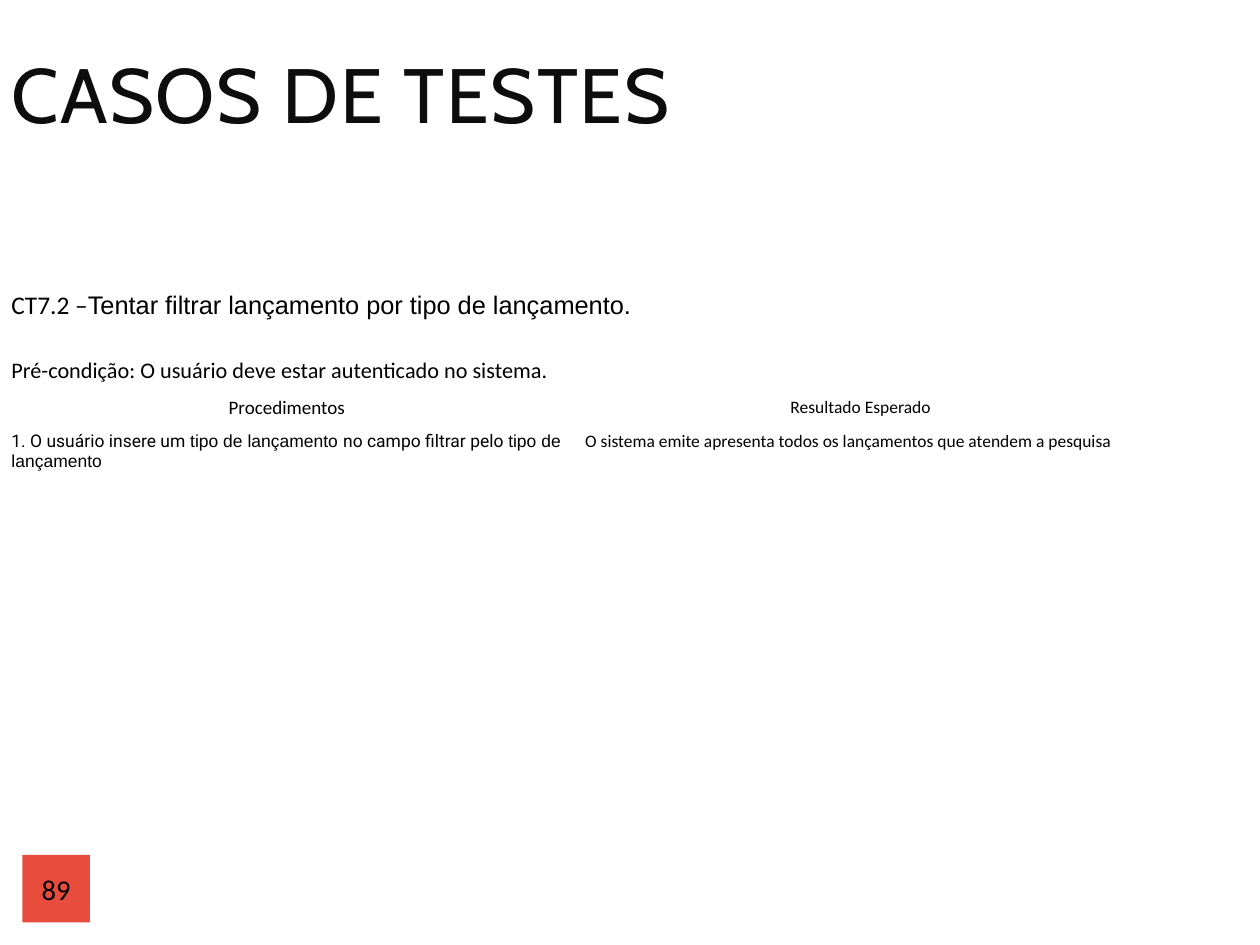
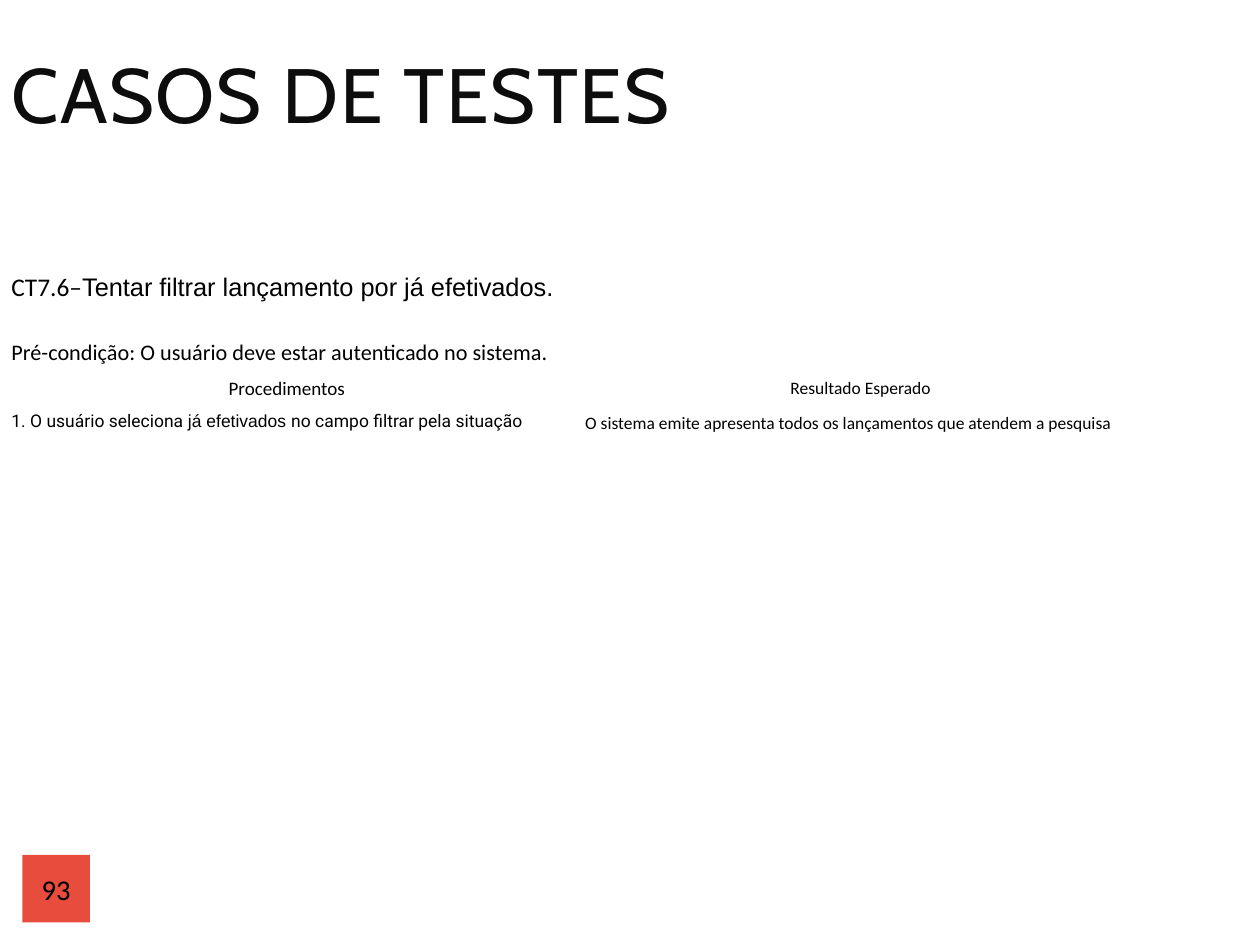
from dataclasses import dataclass

from pptx import Presentation
from pptx import util as u
from pptx.dml.color import RGBColor
from pptx.enum import shapes, text


@dataclass(frozen=True)
class Theme:
    ink: str = "000000"
    title_ink: str = "0D0D0D"
    accent: str = "E74C3C"
    title_font: str = "Cabin"
    body_font: str = "Calibri"
    term_font: str = "Arial"
    step_font: str = "Roboto"
    title_size: float = 48.5
    number_size: float = 18
    case_size: float = 16
    condition_size: float = 14
    header_size: float = 12
    detail_size: float = 11


THEME = Theme()
CENTERED = {"alignment": text.PP_ALIGN.CENTER}


@dataclass(frozen=True)
class Piece:
    wording: str
    size: float
    font: str = THEME.body_font
    color: str = THEME.ink


@dataclass(frozen=True)
class TestCase:
    number: int
    top: float
    code: str
    goal: str
    step: tuple[Piece, ...]
    goal_format: dict
    step_format: dict
    step_height: float


def tight(space_before: float) -> dict:
    return {"line_spacing": 0.94, "space_before": u.Pt(space_before)}


def step(wording: str) -> Piece:
    return Piece(wording, THEME.detail_size, THEME.step_font)


def term(wording: str) -> Piece:
    return Piece(wording, THEME.detail_size, THEME.term_font)


CASES = (
    TestCase(
        89, 6.35, "CT7.2 –", "Tentar filtrar lançamento por tipo de lançamento.",
        (step("1. O usuário insere um "), term("tipo de lançamento "),
         step("no campo filtrar pelo "), term("tipo de lançamento")),
        tight(3.5), {}, 1.37,
    ),
    TestCase(
        93, 5.94, "CT7.6–", "Tentar filtrar lançamento por já efetivados.",
        (step("1. O usuário seleciona "), term("já efetivados "),
         step("no campo filtrar pela situação")),
        tight(4), tight(3.5), 0.89,
    ),
)


def write(frame, pieces: tuple[Piece, ...], layout: dict) -> None:
    paragraph = frame.paragraphs[0]
    for name, value in layout.items():
        setattr(paragraph, name, value)
    for piece in pieces:
        run = paragraph.add_run()
        run.text = piece.wording
        for name, value in {"size": u.Pt(piece.size), "name": piece.font}.items():
            setattr(run.font, name, value)
        run.font.color.rgb = RGBColor.from_string(piece.color)


def add_page_number(slide, number: int) -> None:
    badge = slide.shapes.add_shape(
        shapes.MSO_SHAPE.RECTANGLE, u.Cm(0.5), u.Cm(19), u.Cm(1.5), u.Cm(1.5))
    badge.shadow.inherit = False
    badge.fill.solid()
    badge.fill.fore_color.rgb = RGBColor.from_string(THEME.accent)
    badge.line.fill.background()
    frame = badge.text_frame
    insets = dict.fromkeys(
        ("margin_left", "margin_top", "margin_right", "margin_bottom"), 0)
    for name, value in {**insets, "vertical_anchor": text.MSO_ANCHOR.MIDDLE}.items():
        setattr(frame, name, value)
    write(frame, (Piece(str(number), THEME.number_size),), CENTERED)


def add_title(slide, wording: str) -> None:
    frame = slide.shapes.add_textbox(u.Cm(0), u.Cm(1), u.Cm(26), u.Cm(2.5)).text_frame
    for name, value in {"word_wrap": True,
                        "vertical_anchor": text.MSO_ANCHOR.MIDDLE}.items():
        setattr(frame, name, value)
    title = Piece(wording, THEME.title_size, THEME.title_font, THEME.title_ink)
    write(frame, (title,), {"line_spacing": 0.8})
    frame.paragraphs[0].runs[0].font._element.set("spc", "110")


def add_case_table(slide, case: TestCase) -> None:
    heights = (1.47, 0.86, 0.77, case.step_height)
    table = slide.shapes.add_table(
        len(heights), 2, u.Cm(0), u.Cm(case.top), u.Cm(25.5), u.Cm(sum(heights))).table
    for name in ("first_row", "horz_banding"):
        setattr(table, name, False)
    for row, height in zip(table.rows, heights):
        row.height = u.Cm(height)
    for cell in table.iter_cells():
        cell.fill.background()
    for row in range(2):
        table.cell(row, 0).merge(table.cell(row, 1))

    contents = {
        (0, 0): ((Piece(case.code, THEME.case_size),
                  Piece(case.goal, THEME.case_size, THEME.term_font)), case.goal_format),
        (1, 0): ((Piece("Pré-condição: O usuário deve estar autenticado no sistema.",
                        THEME.condition_size),), {}),
        (2, 0): ((Piece("Procedimentos", THEME.header_size),), CENTERED),
        (2, 1): ((Piece("Resultado Esperado", THEME.detail_size),), CENTERED),
        (3, 0): (case.step, case.step_format),
        (3, 1): ((Piece("O sistema emite apresenta todos os lançamentos "
                        "que atendem a pesquisa", THEME.detail_size),), {}),
    }
    for (row, column), (pieces, layout) in contents.items():
        write(table.cell(row, column).text_frame, pieces, layout)


def main() -> None:
    deck = Presentation()
    deck.slide_width, deck.slide_height = u.Cm(28), u.Cm(21)
    for case in CASES:
        slide = deck.slides.add_slide(deck.slide_layouts[6])
        add_page_number(slide, case.number)
        add_title(slide, "CASOS DE TESTES")
        add_case_table(slide, case)
    deck.save("out.pptx")


if __name__ == "__main__":
    main()
